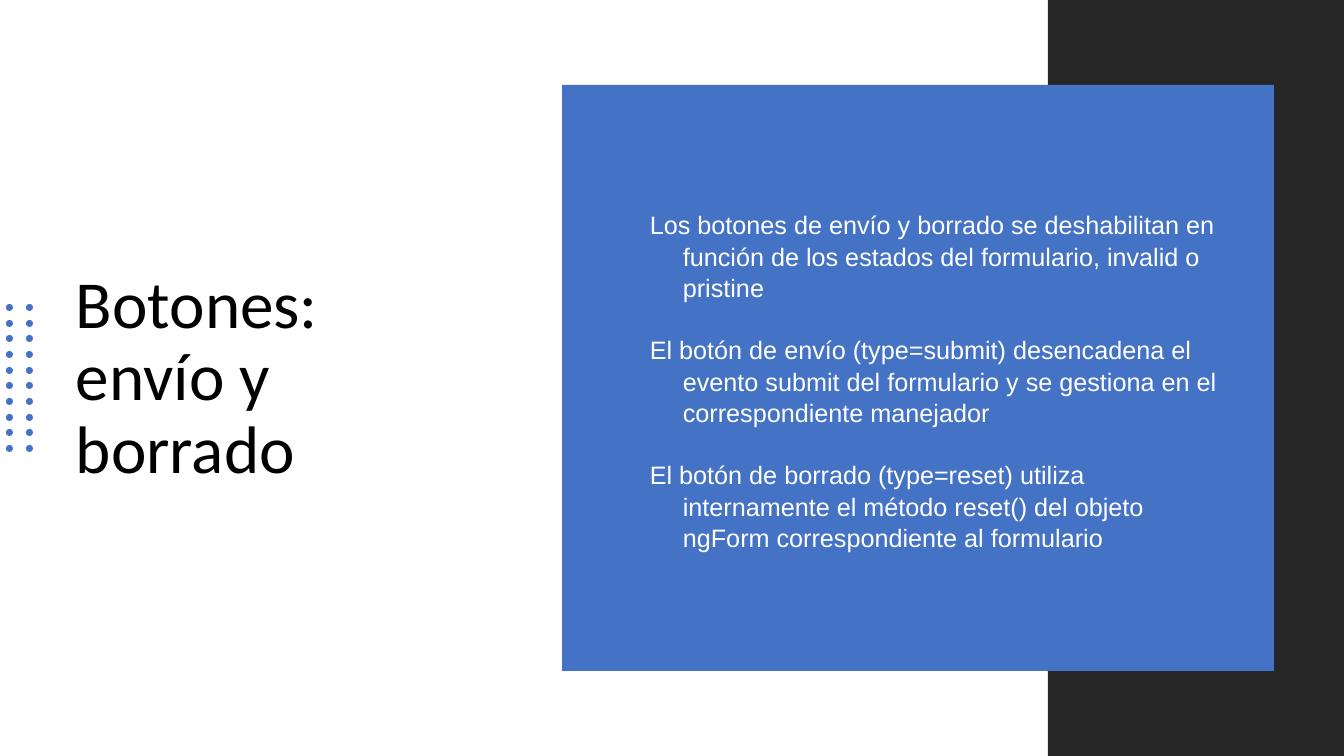
from dataclasses import dataclass
from typing import Any

import pptx
import pptx.dml.color
import pptx.enum.shapes
import pptx.enum.text
import pptx.util

SLIDE_WIDTH = 1344
SLIDE_HEIGHT = 756
EMU_PER_PX = 12192000 / SLIDE_WIDTH

BLACK = pptx.dml.color.RGBColor(0x00, 0x00, 0x00)
WHITE = pptx.dml.color.RGBColor(0xFF, 0xFF, 0xFF)
BLUE = pptx.dml.color.RGBColor(0x44, 0x72, 0xC4)
CHARCOAL = pptx.dml.color.RGBColor(0x26, 0x26, 0x26)

RECTANGLE = pptx.enum.shapes.MSO_SHAPE.RECTANGLE
OVAL = pptx.enum.shapes.MSO_SHAPE.OVAL

DOT_SIZE = 7
DOT_COLUMNS = (6, 26)
DOT_ROWS = 10
DOT_TOP = 304
DOT_SPAN = 141

TITLE = "Botones: envío y borrado"
EXPLANATIONS = [
    "Los botones de envío y borrado se deshabilitan en función de los estados "
    "del formulario, invalid o pristine",
    "El botón de envío (type=submit) desencadena el evento submit del formulario "
    "y se gestiona en el correspondiente manejador",
    "El botón de borrado (type=reset) utiliza internamente el método reset() "
    "del objeto ngForm correspondiente al formulario",
]


@dataclass(frozen=True)
class Box:
    left: int
    top: int
    width: int
    height: int

    def emu(self) -> tuple[int, int, int, int]:
        return px(self.left), px(self.top), px(self.width), px(self.height)


@dataclass(frozen=True)
class FilledShape:
    kind: Any
    box: Box
    color: pptx.dml.color.RGBColor


def px(length: int) -> int:
    return round(length * EMU_PER_PX)


def draw_shape(shapes: Any, item: FilledShape) -> None:
    shape = shapes.add_shape(item.kind, *item.box.emu())
    shape.shadow.inherit = False
    shape.fill.solid()
    shape.fill.fore_color.rgb = item.color
    shape.line.fill.background()


def add_text(
    slide: Any,
    box: Box,
    texts: list[str],
    *,
    font: str,
    size: int,
    color: pptx.dml.color.RGBColor,
    line_spacing: float,
    gap: int = 0,
    margin: int = 0,
    indent: int = 0,
) -> None:
    frame = slide.shapes.add_textbox(*box.emu()).text_frame
    frame.word_wrap = True
    frame.vertical_anchor = pptx.enum.text.MSO_ANCHOR.MIDDLE
    for index, text in enumerate(texts):
        paragraph = frame.add_paragraph() if index else frame.paragraphs[0]
        paragraph.text = text
        paragraph.line_spacing = line_spacing
        paragraph.space_before = pptx.util.Pt(gap if index else 0)
        properties = paragraph._p.get_or_add_pPr()
        properties.set("marL", str(px(margin)))
        properties.set("indent", str(px(indent)))
        paragraph.font.name = font
        paragraph.font.size = pptx.util.Pt(size)
        paragraph.font.color.rgb = color


def draw_dots(slide: Any) -> None:
    group = slide.shapes.add_group_shape()
    for row in range(DOT_ROWS):
        top = DOT_TOP + round(row * DOT_SPAN / (DOT_ROWS - 1))
        for left in DOT_COLUMNS:
            box = Box(left, top, DOT_SIZE, DOT_SIZE)
            draw_shape(group.shapes, FilledShape(OVAL, box, BLUE))


def main() -> None:
    presentation = pptx.Presentation()
    presentation.slide_width = px(SLIDE_WIDTH)
    presentation.slide_height = px(SLIDE_HEIGHT)
    slide = presentation.slides.add_slide(presentation.slide_layouts[6])

    add_text(slide, Box(66, 115, 419, 528), [TITLE],
             font="Calibri", size=48, color=BLACK, line_spacing=0.9)
    draw_dots(slide)

    panels = [
        FilledShape(RECTANGLE, Box(1048, 0, 296, SLIDE_HEIGHT), CHARCOAL),
        FilledShape(RECTANGLE, Box(562, 85, 712, 586), BLUE),
    ]
    for panel in panels:
        draw_shape(slide.shapes, panel)

    add_text(slide, Box(606, 130, 624, 501), EXPLANATIONS,
             font="Arial", size=18, color=WHITE, line_spacing=1.04,
             gap=22, margin=67, indent=-33)

    presentation.save("out.pptx")


if __name__ == "__main__":
    main()
